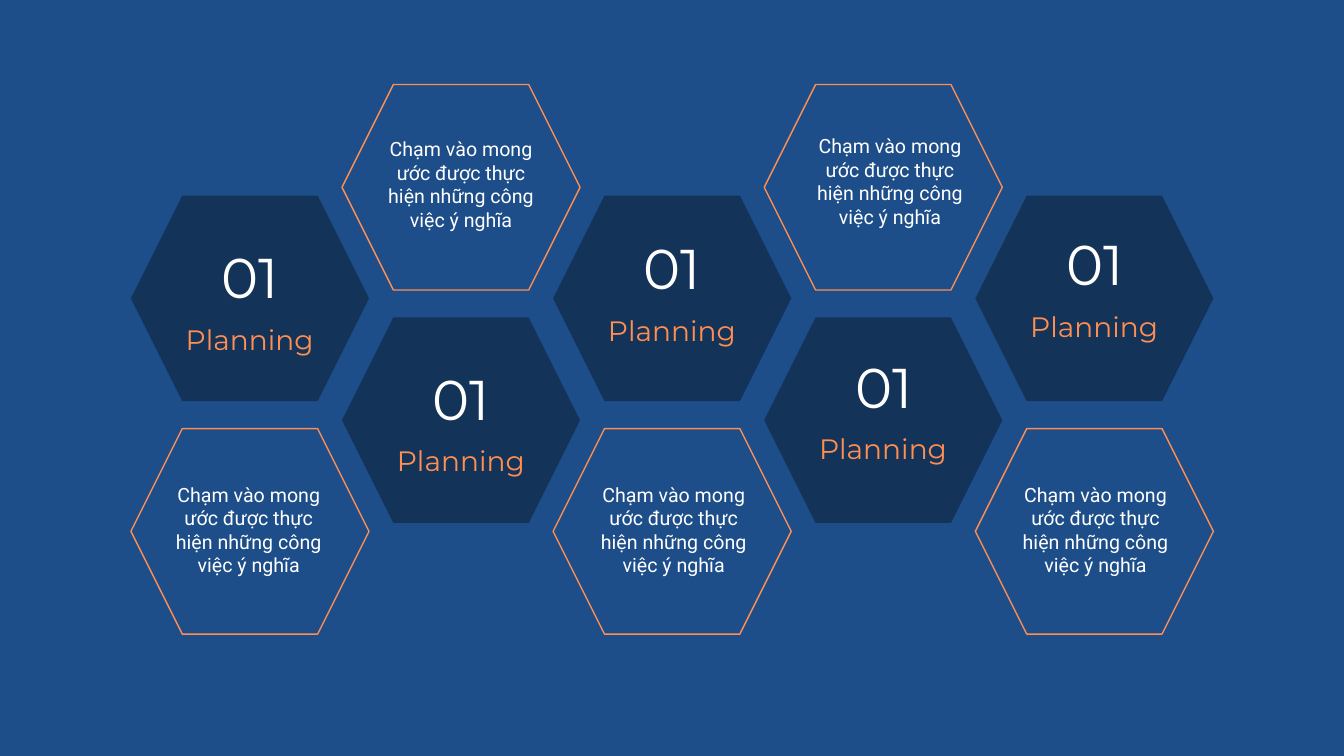
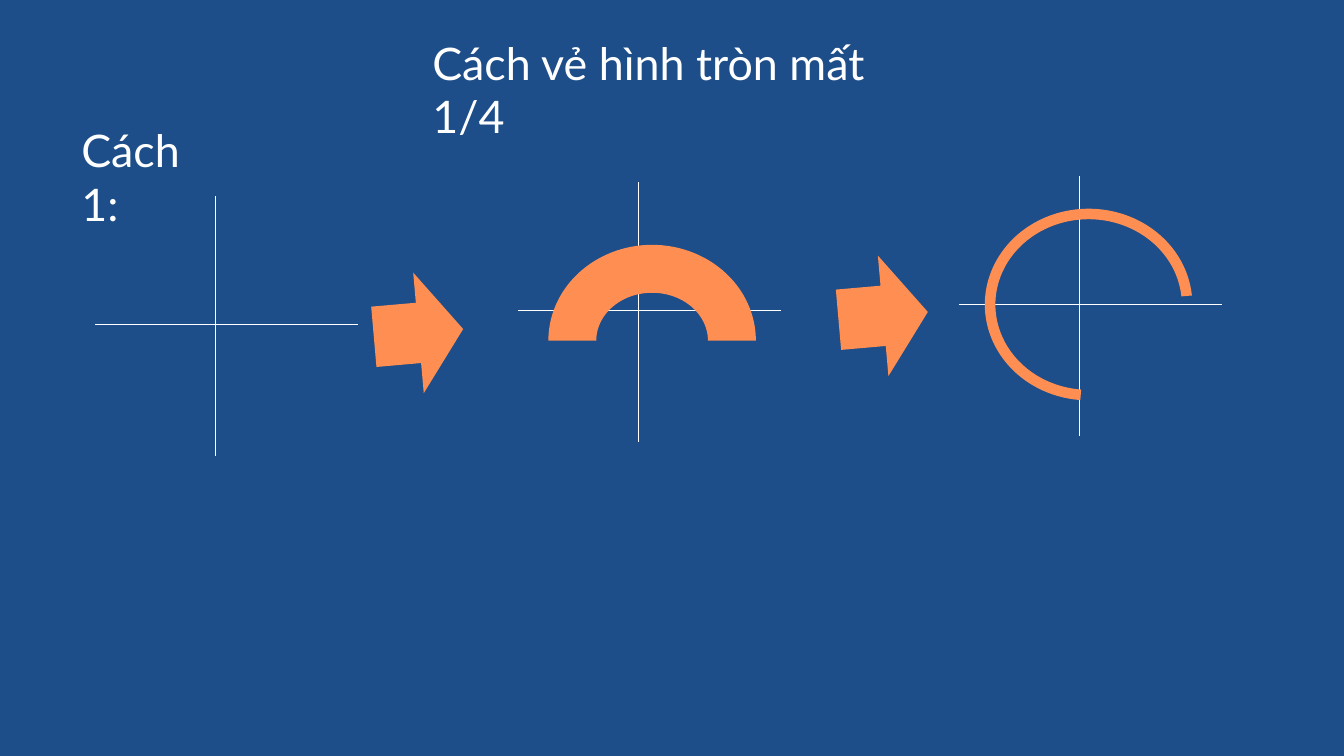
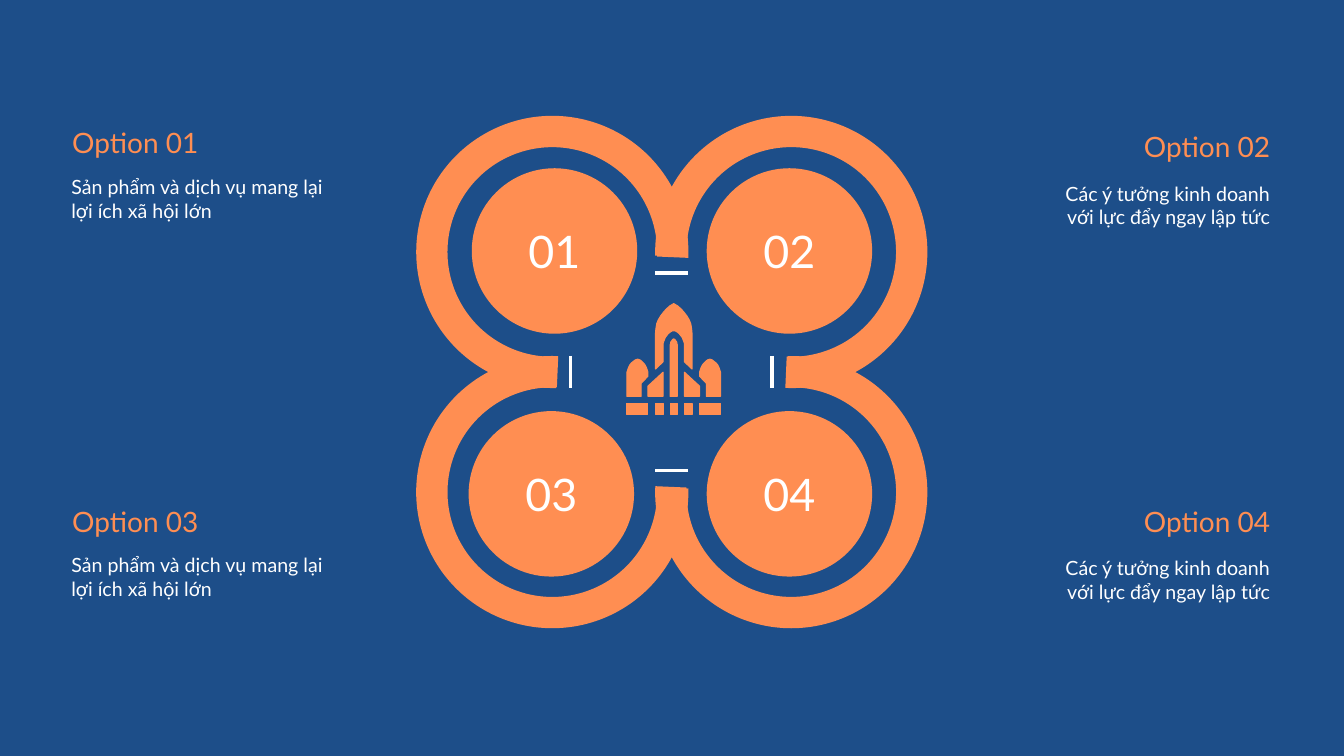
import dataclasses

import pptx
import pptx.dml.color
import pptx.enum.shapes
import pptx.enum.text
import pptx.oxml
import pptx.oxml.ns
import pptx.util

Cm = pptx.util.Cm
Pt = pptx.util.Pt
SHAPE = pptx.enum.shapes.MSO_SHAPE
ALIGN = pptx.enum.text.PP_ALIGN
ANCHOR = pptx.enum.text.MSO_ANCHOR


@dataclasses.dataclass(frozen=True)
class TextStyle:
    font: str
    size: float
    color: str


@dataclasses.dataclass(frozen=True)
class Theme:
    background: str = "1D4E89"
    navy: str = "133359"
    orange: str = "FF8E52"
    white: str = "FFFFFF"
    title: TextStyle = TextStyle("Lato", 32, "FFFFFF")
    step_number: TextStyle = TextStyle("Montserrat", 40, "FFFFFF")
    step_label: TextStyle = TextStyle("Montserrat", 20, "FF8E52")
    step_body: TextStyle = TextStyle("Roboto", 14, "FFFFFF")
    option_heading: TextStyle = TextStyle("Lato", 20, "FF8E52")
    option_body: TextStyle = TextStyle("Lato", 14, "FFFFFF")


THEME = Theme()
SLIDE_SIZE = (33.87, 19.05)
BLANK_LAYOUT, TITLE_ONLY_LAYOUT = 6, 5

# All lengths below are centimetres unless stated otherwise.
STEP_NUMBER = "01"
STEP_LABEL = "Planning"
STEP_BODY = "Chạm vào mong ước được thực hiện những công việc ý nghĩa"
# Text offsets inside each column: heading down, body across, body down
STEP_OFFSETS = [
    (1.06, 0.72, 1.24),
    (1.05, 0.75, 1.2),
    (0.84, 0.79, 1.24),
    (0.76, 0.92, 1.12),
    (0.74, 0.78, 1.24),
]
HEXAGON_SIZE = (6, 5.18)
HEXAGON_LEFT, HEXAGON_PITCH = 3.3, 5.32
EVEN_COLUMN_TOP, ODD_COLUMN_TOP, ROW_PITCH = 4.93, 2.13, 5.87

METHOD_TITLE = "Cách vẻ hình tròn mất 1/4"
METHOD_LABEL = "Cách 1:"
CROSSES = [(2.39, 8.18), (13.06, 7.82), (24.16, 7.67)]  # left end and height of axis
ARROWS = [(9.02, 7.26), (20.73, 6.83)]
METHOD_ARCS = [(13.82, 6.17, ()), (24.82, 5.26, (56.982, 213.003, 0.055))]

# Number, body, heading top, body top, disc left, ring rotation in degrees
OPTIONS = [
    ("01", "Sản phẩm và dịch vụ mang lại lợi ích xã hội lớn", 3.05, 4.29, 11.89, 0),
    ("02", "Các ý tưởng kinh doanh với lực đẩy ngay lập tức", 3.15, 4.45, 17.81, 90),
    ("03", "Sản phẩm và dịch vụ mang lại lợi ích xã hội lớn", 12.6, 13.82, 11.81, 270),
    ("04", "Các ý tưởng kinh doanh với lực đẩy ngay lập tức", 12.6, 13.89, 17.81, 180),
]
# Alignment, then left and width of heading and of body
OPTION_SIDES = [
    (ALIGN.LEFT, (1.57, 4.11), (1.55, 7.44)),
    (ALIGN.RIGHT, (27.74, 4.52), (26.16, 6.1)),
]
RING_LEFTS, RING_TOPS, RING_SIZE = (10.49, 16.51), (2.92, 8.97), 6.86
RING_ADJUSTMENTS = (53.083, 1.498, 0.115)
DISC_TOPS, DISC_SIZE = (4.24, 10.36), 4.17
TICKS = [(16.51, y, 17.35, y) for y in (6.88, 11.86)]
TICKS += [(x, 8.97, x, 9.78) for x in (14.38, 19.46)]

# Rocket in hundredths of a centimetre from its tip; six numbers make a Bézier curve
ROCKET_TIP = (16.98, 7.65)
ROCKET_CENTRE = [
    [(0, 0), (27, 15, 46, 43, 46, 74), (46, 165), (27, 147), (27, 107),
     (27, 91, 18, 76, 4, 69), (-4, 69), (-18, 76, -27, 91, -27, 107),
     (-27, 147), (-46, 165), (-46, 74), (-46, 43, -27, 15, 0, 0)],
    [(0, 89), (6, 92, 9, 99, 9, 107), (9, 234), (-9, 234), (-9, 107),
     (-9, 99, -6, 92, 0, 89)],
    [(-9, 251), (9, 251), (9, 279), (-9, 279)],
]
ROCKET_SIDE = [
    [(91, 140), (108, 145, 118, 162, 118, 180), (118, 234), (82, 234),
     (82, 201), (65, 183), (65, 180), (65, 162, 75, 145, 91, 140)],
    [(27, 173), (65, 208), (65, 234), (27, 234)],
    [(27, 251), (46, 251), (46, 279), (27, 279)],
    [(65, 251), (118, 251), (118, 279), (65, 279)],
]


def rgb(color):
    return pptx.dml.color.RGBColor.from_string(color)


def paint(shape, fill=None, line=None, line_width=1):
    shape.shadow.inherit = False
    if fill:
        shape.fill.solid()
        shape.fill.fore_color.rgb = rgb(fill)
    else:
        shape.fill.background()
    if line:
        shape.line.color.rgb = rgb(line)
        shape.line.width = Pt(line_width)
    else:
        shape.line.fill.background()


def add_preset(slide, preset, left, top, width, height, adjustments=(), rotation=0, **colors):
    shape = slide.shapes.add_shape(preset, Cm(left), Cm(top), Cm(width), Cm(height))
    for index, value in enumerate(adjustments):
        shape.adjustments[index] = value
    shape.rotation = rotation
    paint(shape, **colors)
    return shape


def write(shape, text, style, align=ALIGN.LEFT, anchor=ANCHOR.TOP):
    frame = shape.text_frame
    frame.word_wrap = True
    frame.auto_size = pptx.enum.text.MSO_AUTO_SIZE.NONE
    frame.vertical_anchor = anchor
    frame.text = text
    paragraph = frame.paragraphs[0]
    paragraph.alignment = align
    paragraph.font.name = style.font
    paragraph.font.size = Pt(style.size)
    paragraph.font.color.rgb = rgb(style.color)


def add_text(slide, text, style, left, top, width, height, align=ALIGN.LEFT):
    box = slide.shapes.add_textbox(Cm(left), Cm(top), Cm(width), Cm(height))
    write(box, text, style, align)


def add_line(slide, x1, y1, x2, y2, width):
    line = slide.shapes.add_connector(
        pptx.enum.shapes.MSO_CONNECTOR.STRAIGHT, Cm(x1), Cm(y1), Cm(x2), Cm(y2))
    line.line.color.rgb = rgb(THEME.white)
    line.line.width = Pt(width)
    properties = line._element.spPr
    properties.append(pptx.oxml.parse_xml(
        "<a:effectLst %s/>" % pptx.oxml.ns.nsdecls("a")))


def flatten(outline, side=1, steps=8):
    """Turn an outline with curves into points; side -1 mirrors it."""
    points = []
    for segment in outline:
        if len(segment) == 2:
            points.append(segment)
            continue
        start = points[-1]
        first, second, end = segment[:2], segment[2:4], segment[4:]
        for step in range(1, steps + 1):
            t = step / steps
            u = 1 - t
            points.append(tuple(
                u**3 * a + 3 * u * u * t * b + 3 * u * t * t * c + t**3 * d
                for a, b, c, d in zip(start, first, second, end)))
    return [(side * x, y) for x, y in points]


def add_rocket(slide):
    outlines = [flatten(outline) for outline in ROCKET_CENTRE]
    outlines += [flatten(outline, side) for outline in ROCKET_SIDE for side in (1, -1)]
    builder = slide.shapes.build_freeform(*outlines[0][0], scale=Cm(1) / 100)
    for index, points in enumerate(outlines):
        if index:
            builder.move_to(*points[0])
        builder.add_line_segments(points[1:], close=True)
    rocket = builder.convert_to_shape(*map(Cm, ROCKET_TIP))
    paint(rocket, fill=THEME.orange, line=THEME.orange, line_width=0.75)


def add_slide(presentation, layout):
    return presentation.slides.add_slide(presentation.slide_layouts[layout])


def build_steps(presentation):
    slide = add_slide(presentation, BLANK_LAYOUT)
    for column, (heading_down, body_across, body_down) in enumerate(STEP_OFFSETS):
        left = HEXAGON_LEFT + column * HEXAGON_PITCH
        if column % 2:
            outline_top = ODD_COLUMN_TOP
            solid_top = outline_top + ROW_PITCH
        else:
            solid_top = EVEN_COLUMN_TOP
            outline_top = solid_top + ROW_PITCH
        add_preset(slide, SHAPE.HEXAGON, left, solid_top, *HEXAGON_SIZE, fill=THEME.navy)
        add_preset(slide, SHAPE.HEXAGON, left, outline_top, *HEXAGON_SIZE, line=THEME.orange)
        heading_top = solid_top + heading_down
        add_text(slide, STEP_NUMBER, THEME.step_number, left + 2.04, heading_top, 2.82, 1.96)
        add_text(slide, STEP_LABEL, THEME.step_label,
                 left + 1.13, heading_top + 2, 3.73, 1.12, ALIGN.CENTER)
        add_text(slide, STEP_BODY, THEME.step_body, left + body_across,
                 outline_top + body_down, 4.5, 2.64, ALIGN.CENTER)


def build_method(presentation):
    slide = add_slide(presentation, TITLE_ONLY_LAYOUT)
    title = slide.shapes.title
    title.left, title.top, title.width, title.height = map(Cm, (10.64, 0.76, 12.57, 1.63))
    write(title, METHOD_TITLE, THEME.title)
    add_text(slide, METHOD_LABEL, THEME.title, 1.8, 2.97, 3.89, 1.63)
    for left, middle in CROSSES:
        centre, top = left + 3.03, middle - 3.23
        add_line(slide, centre, top, centre, top + 6.55, 0.5)
        add_line(slide, left, middle, left + 6.63, middle, 0.5)
    for left, top in ARROWS:
        add_preset(slide, SHAPE.UP_ARROW, left, top, 3.05, 2.26,
                   rotation=85, fill=THEME.orange)
    for left, top, adjustments in METHOD_ARCS:
        add_preset(slide, SHAPE.BLOCK_ARC, left, top, 5.23, 4.83,
                   adjustments, fill=THEME.orange)


def build_options(presentation):
    slide = add_slide(presentation, BLANK_LAYOUT)
    for index, option in enumerate(OPTIONS):
        rotation = option[-1]
        row, column = divmod(index, 2)
        add_preset(slide, SHAPE.BLOCK_ARC, RING_LEFTS[column], RING_TOPS[row],
                   RING_SIZE, RING_SIZE, RING_ADJUSTMENTS, rotation, fill=THEME.orange)
    for index, (number, body, heading_top, body_top, disc_left, _) in enumerate(OPTIONS):
        row, column = divmod(index, 2)
        disc = add_preset(slide, SHAPE.OVAL, disc_left, DISC_TOPS[row],
                          DISC_SIZE, DISC_SIZE, fill=THEME.orange)
        write(disc, number, THEME.title, ALIGN.CENTER, ANCHOR.MIDDLE)
        align, (heading_left, heading_width), (body_left, body_width) = OPTION_SIDES[column]
        add_text(slide, f"Option {number}", THEME.option_heading,
                 heading_left, heading_top, heading_width, 1.12, align)
        add_text(slide, body, THEME.option_body, body_left, body_top, body_width, 1.45, align)
    add_rocket(slide)
    for tick in TICKS:
        add_line(slide, *tick, 2.5)


def main():
    presentation = pptx.Presentation()
    presentation.slide_width, presentation.slide_height = map(Cm, SLIDE_SIZE)
    background = presentation.slide_master.background.fill
    background.solid()
    background.fore_color.rgb = rgb(THEME.background)
    build_steps(presentation)
    build_method(presentation)
    build_options(presentation)
    presentation.save("out.pptx")


if __name__ == "__main__":
    main()
